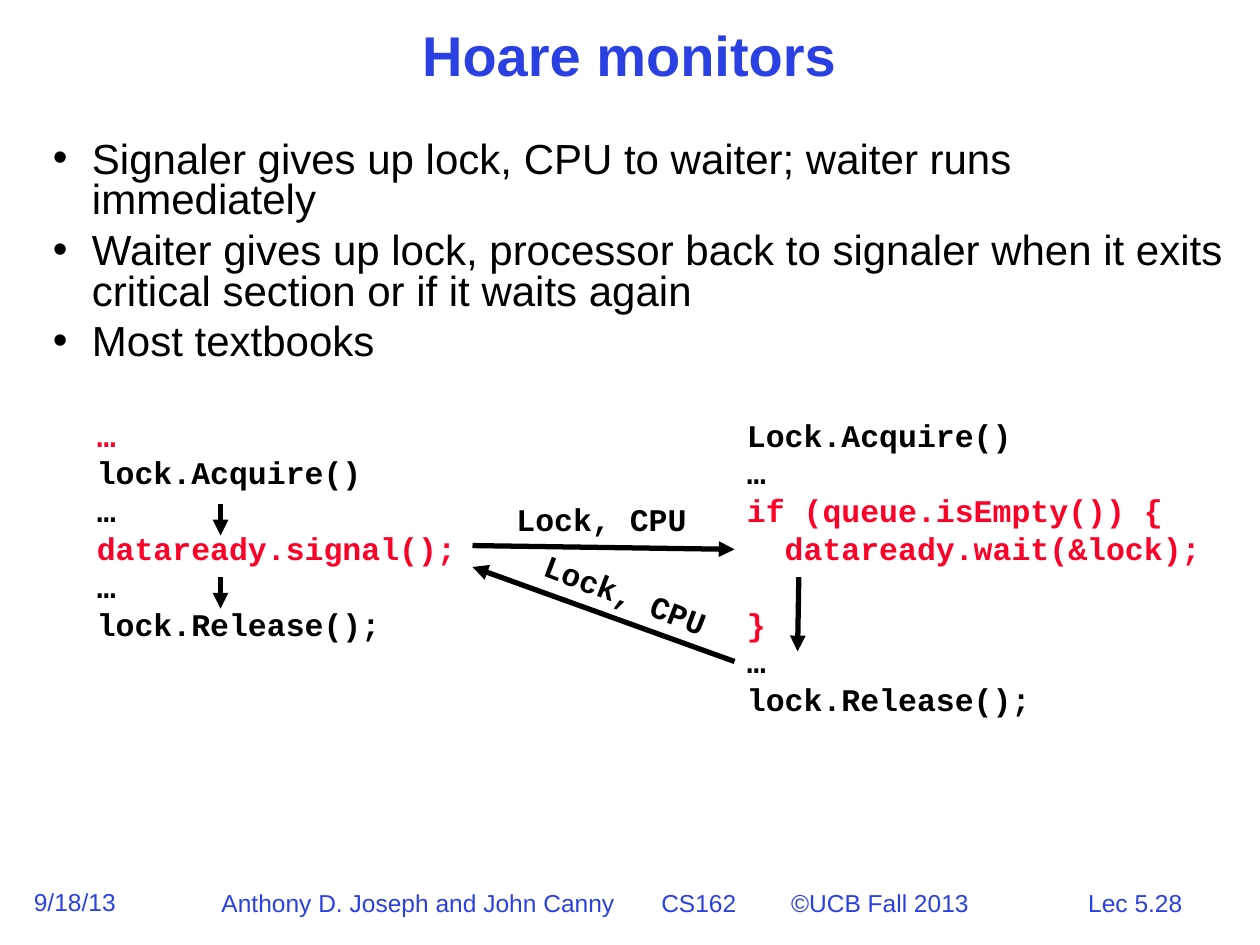
from typing import NamedTuple

from lxml.etree import SubElement
from pptx import Presentation
from pptx.dml.color import RGBColor
from pptx.enum.shapes import MSO_CONNECTOR as Conn
from pptx.enum.text import MSO_ANCHOR as Anchor, MSO_AUTO_SIZE as Fit, PP_ALIGN as Align
from pptx.oxml.ns import qn
from pptx.util import Inches, Pt

BLACK = RGBColor(0x00, 0x00, 0x00)
BLUE = RGBColor(0x2A, 0x40, 0xE2)
RED = RGBColor(0xFC, 0x01, 0x28)

TITLE = {"name": "Arial", "size": Pt(32), "bold": True}
BODY = {"name": "Arial", "size": Pt(24), "bold": False}
FOOT = {"name": "Arial", "size": Pt(14), "bold": False}
CODE = {"name": "Courier New", "size": Pt(18), "bold": True}


class Span(NamedTuple):
    text: str
    color: RGBColor = BLACK


class Box(NamedTuple):
    at: tuple[float, float, float, float]
    lines: list[list[Span]]
    style: dict
    turn: float = 0
    wrap: bool = True
    align: Align = Align.LEFT
    tabs: tuple[float, ...] = ()


class Arrow(NamedTuple):
    start: tuple[float, float]
    end: tuple[float, float]


POINTS = [
    "Signaler gives up lock, CPU to waiter; waiter runs immediately",
    "Waiter gives up lock, processor back to signaler when it exits "
    "critical section or if it waits again",
    "Most textbooks",
]
WAIT = "if (queue.isEmpty()) {\n  dataready.wait(&lock); \n}\n"
WAITER = [[Span("Lock.Acquire()")], [Span("…")],
          [Span(WAIT, RED), Span("…")], [Span("lock.Release();")]]
SIGNALER = [[Span("…", RED)], [Span("lock.Acquire()")], [Span("…")],
            [Span("dataready.signal();", RED)], [Span("…")],
            [Span("lock.Release();")]]
SWAP = [[Span("Lock, CPU")]]
CREDIT = "Anthony D. Joseph and John Canny\tCS162\t©UCB Fall 2013"

BOXES = [
    Box((8.2, 7, 1.62, 0.33), [[Span("Lec 5.28", BLUE)]], FOOT,
        wrap=False, align=Align.CENTER),
    Box((0.17, 6.99, 0.85, 0.33), [[Span("9/18/13", BLUE)]], FOOT, wrap=False),
    Box((1.66, 7, 6.14, 0.33), [[Span(CREDIT, BLUE)]], FOOT,
        wrap=False, tabs=(3.49, 4.52)),
    Box((5.83, 3.25, 3.83, 2.5), WAITER, CODE),
    Box((0.67, 3.25, 3.83, 1.9), SIGNALER, CODE),
    Box((4, 3.92, 1.67, 0.4), SWAP, CODE),
    Box((4.19, 4.52, 1.57, 0.4), SWAP, CODE, turn=20.8),
]
ARROWS = [
    Arrow((3.75, 4.33), (5.83, 4.36)),
    Arrow((5.83, 5.25), (3.75, 4.5)),
    Arrow((1.75, 4), (1.75, 4.25)),
    Arrow((6.34, 4.58), (6.33, 5.17)),
    Arrow((1.75, 4.58), (1.75, 4.83)),
]


def write(para, spans: list[Span], style: dict) -> None:
    for span in spans:
        for i, part in enumerate(span.text.split("\n")):
            if i:
                para.add_line_break()
            if part:
                run = para.add_run()
                run.text = part
                for key, value in style.items():
                    setattr(run.font, key, value)
                run.font.color.rgb = span.color


def fill(frame, lines: list[list[Span]], style: dict) -> list:
    """Write one paragraph per line and return the paragraphs."""
    for i, spans in enumerate(lines):
        para = frame.add_paragraph() if i else frame.paragraphs[0]
        write(para, spans, style)
    return list(frame.paragraphs)


def place(shape, at: tuple[float, float, float, float]) -> None:
    shape.left, shape.top, shape.width, shape.height = map(Inches, at)


def set_tabs(para, stops: tuple[float, ...]) -> None:
    tabs = SubElement(para._p.get_or_add_pPr(), qn("a:tabLst"))
    for stop in stops:
        SubElement(tabs, qn("a:tab"), pos=str(Inches(stop)), algn="l")


def add_box(slide, box: Box) -> None:
    shape = slide.shapes.add_textbox(*map(Inches, box.at))
    shape.rotation = box.turn
    frame = shape.text_frame
    frame.word_wrap = box.wrap
    frame.auto_size = Fit.SHAPE_TO_FIT_TEXT
    for para in fill(frame, box.lines, box.style):
        para.alignment = box.align
        if box.tabs:
            set_tabs(para, box.tabs)


def add_arrow(slide, arrow: Arrow) -> None:
    line = slide.shapes.add_connector(
        Conn.STRAIGHT, *map(Inches, arrow.start + arrow.end))
    line.line.color.rgb = BLACK
    line.line.width = Pt(3)
    SubElement(line.line._get_or_add_ln(), qn("a:tailEnd"), type="triangle")
    SubElement(line._element.spPr, qn("a:effectLst"))


def add_title(slide) -> None:
    title = slide.shapes.title
    place(title, (1.08, 0.17, 7.83, 0.58))
    frame = title.text_frame
    frame.auto_size = Fit.NONE
    frame.vertical_anchor = Anchor.MIDDLE
    para = fill(frame, [[Span("Hoare monitors", BLUE)]], TITLE)[0]
    para.alignment = Align.CENTER
    para.line_spacing = 0.9


def add_points(slide) -> None:
    body = slide.placeholders[1]
    place(body, (0.32, 1.08, 9.67, 2.08))
    frame = body.text_frame
    frame.auto_size = Fit.NONE
    for i, para in enumerate(fill(frame, [[Span(p)] for p in POINTS], BODY)):
        props = para._p.get_or_add_pPr()
        props.set("marL", str(Inches(0.31)))
        props.set("indent", str(Inches(-0.31)))
        SubElement(props, qn("a:buChar"), char="•")
        para.line_spacing = 0.8
        para.space_before = Pt(6 if i else 0)


def main() -> None:
    deck = Presentation()
    deck.slide_width, deck.slide_height = Inches(10), Inches(7.5)
    slide = deck.slides.add_slide(deck.slide_layouts[1])
    add_title(slide)
    add_points(slide)
    for box in BOXES:
        add_box(slide, box)
    for arrow in ARROWS:
        add_arrow(slide, arrow)
    deck.save("out.pptx")


if __name__ == "__main__":
    main()
